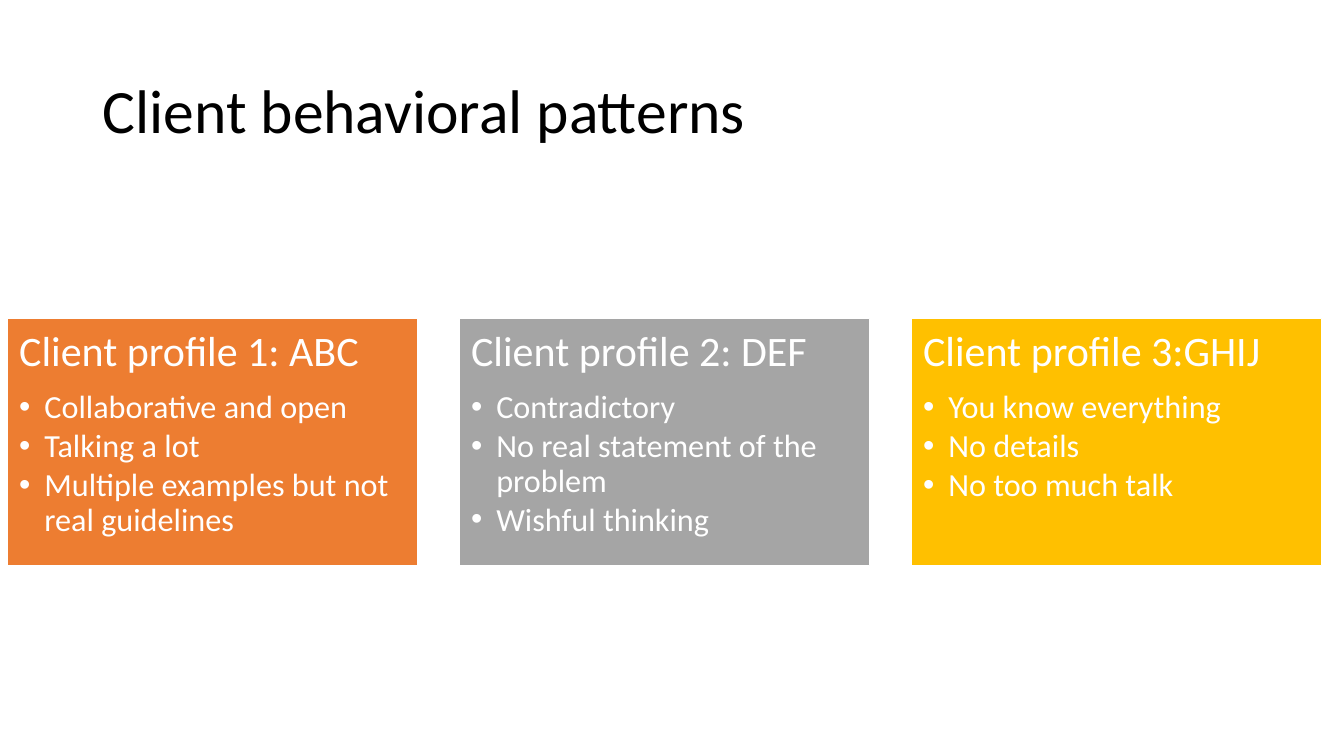
from collections import namedtuple
from lxml import etree
from pptx import Presentation
from pptx.dml.color import RGBColor
from pptx.enum.shapes import MSO_SHAPE
from pptx.enum.text import MSO_ANCHOR, PP_ALIGN
from pptx.oxml.ns import qn
from pptx.util import Inches, Pt

RECT = MSO_SHAPE.RECTANGLE
TOP, MID = MSO_ANCHOR.TOP, MSO_ANCHOR.MIDDLE
LEFT = PP_ALIGN.LEFT

Box = namedtuple("Box", "x y w h")
Theme = namedtuple("Theme", "font ink paper fills title head item")
THEME = Theme("Calibri", "000000", "FFFFFF",
              ("ED7D31", "A5A5A5", "FFC000"), 44, 30, 23)
WIDTH, HEIGHT = Inches(13.33), Inches(7.5)

CARDS = (
    ("Client profile 1: ABC",
     ("Collaborative and open", "Talking a lot",
      "Multiple examples but not real guidelines")),
    ("Client profile 2: DEF",
     ("Contradictory", "No real statement of the problem",
      "Wishful thinking")),
    ("Client profile 3:GHIJ",
     ("You know everything", "No details", "No too much talk")),
)


def share(x, y, w, h):
    """Turn percentages of the slide into a box."""
    return Box(int(WIDTH * x / 100), int(HEIGHT * y / 100),
               int(WIDTH * w / 100), int(HEIGHT * h / 100))


def setup(frame, anchor, pad_x, pad_y):
    """Set wrapping, anchor and insets of a text frame."""
    frame.word_wrap = True
    frame.vertical_anchor = anchor
    frame.margin_left = frame.margin_right = Inches(pad_x)
    frame.margin_top = frame.margin_bottom = Inches(pad_y)


def write(para, text, size, color, after=0):
    """Add one styled run to a paragraph."""
    para.alignment = LEFT
    para.line_spacing = 0.9
    para.space_after = Pt(after)
    run = para.add_run()
    run.text = text
    run.font.name = THEME.font
    run.font.size = Pt(size)
    run.font.color.rgb = RGBColor.from_string(color)


def bullet(para):
    """Give a paragraph a hanging bullet."""
    props = para._p.get_or_add_pPr()
    props.set("marL", str(Inches(0.25)))
    props.set("indent", str(-Inches(0.25)))
    etree.SubElement(props, qn("a:buFont"), typeface="Arial")
    etree.SubElement(props, qn("a:buChar"), char="•")


def title(slide, box, text):
    """Place the slide title."""
    frame = slide.shapes.add_textbox(*box).text_frame
    setup(frame, MID, 0.1, 0.05)
    write(frame.paragraphs[0], text, THEME.title, THEME.ink)


def card(slide, box, fill, head, items):
    """Place one filled profile card with its bullets."""
    shape = slide.shapes.add_shape(RECT, *box)
    shape.shadow.inherit = False
    shape.fill.solid()
    shape.fill.fore_color.rgb = RGBColor.from_string(fill)
    shape.line.color.rgb = RGBColor.from_string(THEME.paper)
    shape.line.width = Pt(1)
    frame = shape.text_frame
    setup(frame, TOP, 0.12, 0.12)
    write(frame.paragraphs[0], head, THEME.head, THEME.paper, 10.5)
    for item in items:
        para = frame.add_paragraph()
        write(para, item, THEME.item, THEME.paper, 3)
        para.level = 1
        bullet(para)


def row(slide, box, cards):
    """Spread the cards evenly, each gap a tenth of a card."""
    wide = box.w / (len(cards) + 0.1 * (len(cards) - 1))
    for i, (fill, (head, items)) in enumerate(zip(THEME.fills, cards)):
        place = Box(int(box.x + i * wide * 1.1), box.y, int(wide), box.h)
        card(slide, place, fill, head, items)


def main():
    """Build and save the slide."""
    deck = Presentation()
    deck.slide_width, deck.slide_height = WIDTH, HEIGHT
    slide = deck.slides.add_slide(deck.slide_layouts[6])
    title(slide, share(6.9, 5.33, 86.25, 19.33), "Client behavioral patterns")
    row(slide, share(0.53, 42.13, 97.82, 32.67), CARDS)
    deck.save("out.pptx")


main()
